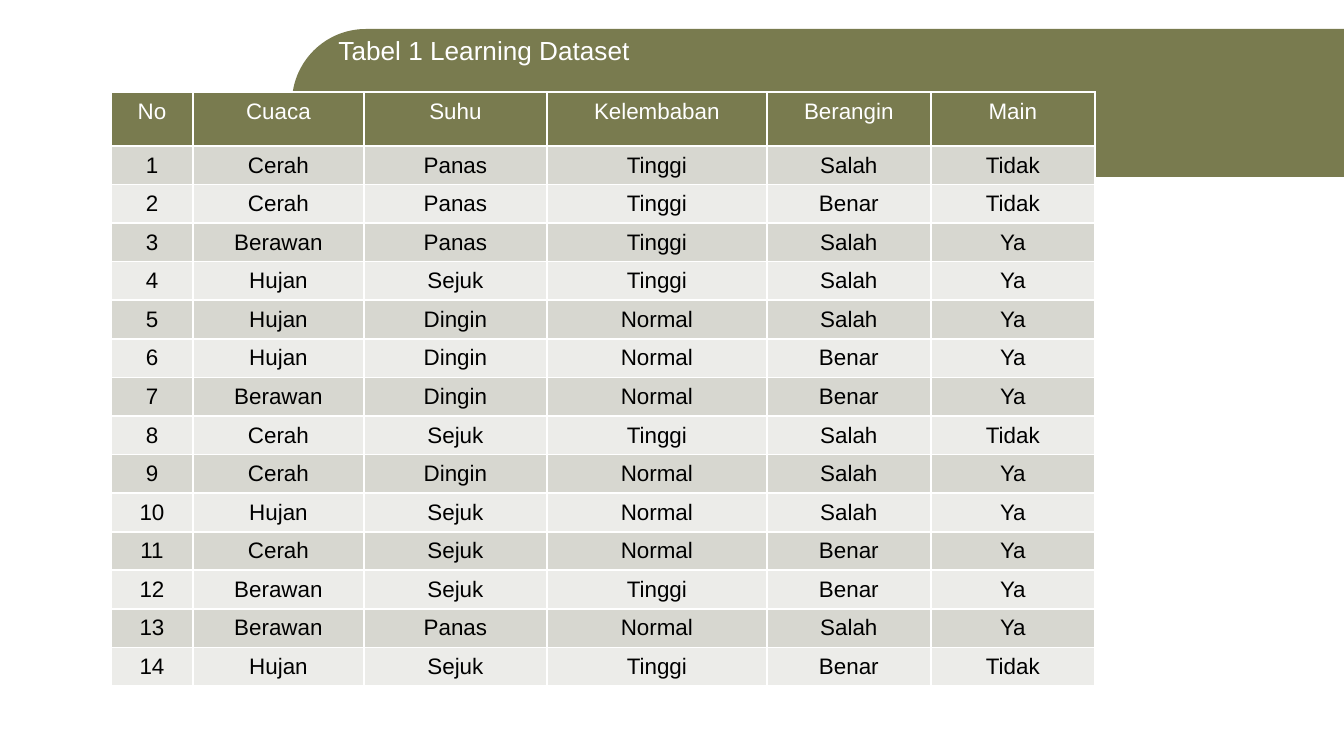
import math

from pptx import Presentation
from pptx import util as u
from pptx.dml.color import RGBColor
from pptx.enum import text
from pptx.oxml import parse_xml
from pptx.oxml.ns import nsdecls

SCALE = 914400 / 134.4
OLIVE = RGBColor(0x79, 0x7B, 0x4F)
BAND_DARK = RGBColor(0xD7, 0xD7, 0xD0)
BAND_LIGHT = RGBColor(0xEC, 0xEC, 0xE9)
WHITE = RGBColor(0xFF, 0xFF, 0xFF)
BLACK = RGBColor(0x00, 0x00, 0x00)

COLUMN_WIDTHS = (82, 171, 183, 220, 164, 164)
HEADER_HEIGHT, ROW_HEIGHT = 54, 32
HEADERS = ("No", "Cuaca", "Suhu", "Kelembaban", "Berangin", "Main")
RECORDS = (
    ("Cerah", "Panas", "Tinggi", "Salah", "Tidak"),
    ("Cerah", "Panas", "Tinggi", "Benar", "Tidak"),
    ("Berawan", "Panas", "Tinggi", "Salah", "Ya"),
    ("Hujan", "Sejuk", "Tinggi", "Salah", "Ya"),
    ("Hujan", "Dingin", "Normal", "Salah", "Ya"),
    ("Hujan", "Dingin", "Normal", "Benar", "Ya"),
    ("Berawan", "Dingin", "Normal", "Benar", "Ya"),
    ("Cerah", "Sejuk", "Tinggi", "Salah", "Tidak"),
    ("Cerah", "Dingin", "Normal", "Salah", "Ya"),
    ("Hujan", "Sejuk", "Normal", "Salah", "Ya"),
    ("Cerah", "Sejuk", "Normal", "Benar", "Ya"),
    ("Berawan", "Sejuk", "Tinggi", "Benar", "Ya"),
    ("Berawan", "Panas", "Normal", "Salah", "Ya"),
    ("Hujan", "Sejuk", "Tinggi", "Benar", "Tidak"),
)


def px(n):
    """Turn pixels into EMU."""
    return u.Emu(round(n * SCALE))


def write(tf, content, size=12, color=BLACK, align=text.PP_ALIGN.CENTER):
    """Write one formatted paragraph into a text frame."""
    p = tf.paragraphs[0]
    p.alignment = align
    r = p.add_run()
    r.text = content
    r.font.name = "Arial"
    r.font.size = u.Pt(size)
    r.font.color.rgb = color


def set_borders(cell):
    """Draw thin white borders around a cell."""
    props = cell._tc.get_or_add_tcPr()
    for i, side in enumerate("LRTB"):
        props.insert(i, parse_xml(
            f'<a:ln{side} {nsdecls("a")} w="{u.Pt(1)}"><a:solidFill>'
            f'<a:srgbClr val="{WHITE}"/></a:solidFill></a:ln{side}>'))


def add_banner(s, x, y, w, h):
    """Add the banner with a semicircular left end behind everything else."""
    radius = h / 2
    angles = [math.radians(90 + 3 * i) for i in range(61)]
    arc = [(px(x + radius + radius * math.cos(a)),
            px(y + radius + radius * math.sin(a))) for a in angles]
    builder = s.shapes.build_freeform(px(x + w), px(y + h))
    builder.add_line_segments(arc + [(px(x + w), px(y))], close=True)
    sp = builder.convert_to_shape()
    sp.shadow.inherit = False
    sp.fill.solid()
    sp.fill.fore_color.rgb = OLIVE
    sp.line.fill.background()
    s.shapes._spTree.insert(2, sp._element)


def add_title(s, x, y, w, h):
    """Place and fill the title placeholder."""
    sp = s.shapes.title
    sp.left, sp.top, sp.width, sp.height = map(px, (x, y, w, h))
    tf = sp.text_frame
    tf.word_wrap = True
    tf.auto_size = text.MSO_AUTO_SIZE.NONE
    tf.vertical_anchor = text.MSO_ANCHOR.MIDDLE
    write(tf, "Tabel 1 Learning Dataset", size=14, color=WHITE,
          align=text.PP_ALIGN.LEFT)


def add_dataset(s, x, y):
    """Add the dataset table with a header and banded rows."""
    rows = [HEADERS] + [(str(n), *rec) for n, rec in enumerate(RECORDS, 1)]
    heights = [HEADER_HEIGHT] + [ROW_HEIGHT] * len(RECORDS)
    frame = s.shapes.add_table(len(rows), len(HEADERS), px(x), px(y),
                               px(sum(COLUMN_WIDTHS)), px(sum(heights)))
    table = frame.table
    for column, width in zip(table.columns, COLUMN_WIDTHS):
        column.width = px(width)
    for i, (values, height) in enumerate(zip(rows, heights)):
        table.rows[i].height = px(height)
        header = i == 0
        fill = OLIVE if header else BAND_DARK if i % 2 else BAND_LIGHT
        for cell, value in zip(table.rows[i].cells, values):
            cell.fill.solid()
            cell.fill.fore_color.rgb = fill
            set_borders(cell)
            write(cell.text_frame, value, color=WHITE if header else BLACK)


def main():
    """Build and save the presentation."""
    prs = Presentation()
    prs.slide_width, prs.slide_height = px(1344), px(756)
    s = prs.slides.add_slide(prs.slide_layouts[5])
    add_banner(s, 292, 29, 1052, 148)
    add_title(s, 325, 29, 984, 42)
    add_dataset(s, 111, 92)
    prs.save("out.pptx")


if __name__ == "__main__":
    main()
